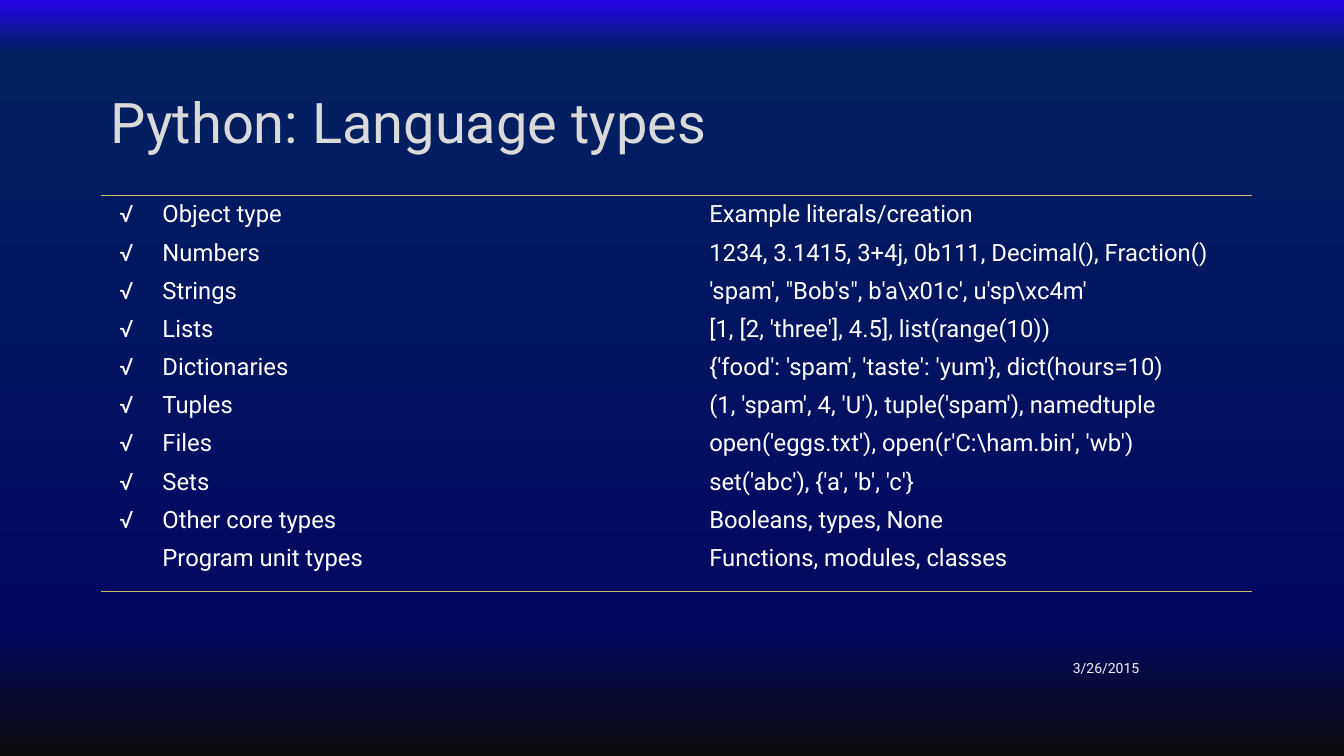
from lxml.etree import SubElement
from pptx import Presentation
from pptx.dml.color import RGBColor
from pptx.enum.text import MSO_ANCHOR, PP_ALIGN
from pptx.oxml import parse_xml
from pptx.oxml.ns import nsdecls, qn
from pptx.util import Cm, Pt

TITLE = "Python: Language types"
DATE = "3/26/2015"
ROWS = [
    ("√", "Object type", "Example literals/creation"),
    ("√", "Numbers", "1234, 3.1415, 3+4j, 0b111, Decimal(), Fraction()"),
    ("√", "Strings", "'spam', \"Bob's\", b'a\\x01c', u'sp\\xc4m'"),
    ("√", "Lists", "[1, [2, 'three'], 4.5], list(range(10))"),
    ("√", "Dictionaries", "{'food': 'spam', 'taste': 'yum'}, dict(hours=10)"),
    ("√", "Tuples", "(1, 'spam', 4, 'U'), tuple('spam'), namedtuple"),
    ("√", "Files", "open('eggs.txt'), open(r'C:\\ham.bin', 'wb')"),
    ("√", "Sets", "set('abc'), {'a', 'b', 'c'}"),
    ("√", "Other core types", "Booleans, types, None"),
    ("", "Program unit types", "Functions, modules, classes"),
]
COL_WIDTHS = (1.3, 13.78, 13.92)
ROW_HEIGHT, LAST_ROW_HEIGHT = 0.92, 1.32

FONT = "Roboto"
WHITE = RGBColor(0xFF, 0xFF, 0xFF)
TITLE_GREY = RGBColor(0xDA, 0xDA, 0xDA)
DATE_GREY = RGBColor(0xF2, 0xF2, 0xF2)
OUTLINE = RGBColor(0x40, 0x40, 0x40)
RULE = RGBColor(0xD3, 0xBA, 0x68)
BACKGROUND = [
    (0, RGBColor(0x24, 0x03, 0xE7)),
    (7, RGBColor(0x00, 0x20, 0x60)),
    (83, RGBColor(0x04, 0x08, 0x60)),
    (100, RGBColor(0x0D, 0x0D, 0x0D)),
]
NO_GRID_STYLE = "{2D5ABB26-0587-4C30-8999-92F81FD0307C}"


def write(tf, text, size=17, color=WHITE, align=PP_ALIGN.LEFT, anchor=MSO_ANCHOR.TOP):
    """Put one formatted run in a text frame and return it."""
    tf.word_wrap = True
    tf.vertical_anchor = anchor
    p = tf.paragraphs[0]
    p.alignment = align
    r = p.add_run()
    r.text = text
    r.font.size = Pt(size)
    r.font.name = FONT
    r.font.color.rgb = color
    return r


def paint_background(slide):
    """Fill the slide with the vertical gradient."""
    fill = slide.background.fill
    fill.gradient()
    fill.gradient_angle = 270
    stops = slide.element.find(".//" + qn("a:gsLst"))
    for stop in list(stops):
        stops.remove(stop)
    for position, color in BACKGROUND:
        stop = SubElement(stops, qn("a:gs"), pos=str(position * 1000))
        SubElement(stop, qn("a:srgbClr"), val=str(color))


def add_title(slide):
    """Format the title with a faint outline and a soft shadow."""
    sp = slide.shapes.title
    sp.left, sp.top, sp.width, sp.height = Cm(2.54), Cm(1.7), Cm(28.75), Cm(2.69)
    r = write(sp.text_frame, TITLE, size=40, color=TITLE_GREY, anchor=MSO_ANCHOR.MIDDLE)
    rpr = r.font.fill and r._r.get_or_add_rPr()
    rpr.insert(0, parse_xml(
        f'<a:ln {nsdecls("a")} w="9525"><a:solidFill><a:srgbClr val="{OUTLINE}">'
        '<a:alpha val="10000"/></a:srgbClr></a:solidFill></a:ln>'))
    rpr.find(qn("a:solidFill")).addnext(parse_xml(
        f'<a:effectLst {nsdecls("a")}><a:outerShdw blurRad="38100" dist="25400" dir="2700000">'
        '<a:srgbClr val="000000"><a:alpha val="50000"/></a:srgbClr></a:outerShdw></a:effectLst>'))


def add_rule(cell, side):
    """Draw a thin line on one side of a cell."""
    cell._tc.get_or_add_tcPr().insert(0, parse_xml(
        f'<a:{side} {nsdecls("a")} w="12700"><a:solidFill><a:srgbClr val="{RULE}"/>'
        f'</a:solidFill></a:{side}>'))


def add_types_table(slide):
    """Build the table of types, ruled above and below."""
    last = len(ROWS) - 1
    height = last * ROW_HEIGHT + LAST_ROW_HEIGHT
    frame = slide.shapes.add_table(len(ROWS), len(COL_WIDTHS), Cm(2.54), Cm(4.93),
                                   Cm(sum(COL_WIDTHS)), Cm(height))
    table = frame.table
    table.first_row = table.horz_banding = False
    frame.element.find(".//" + qn("a:tableStyleId")).text = NO_GRID_STYLE
    for column, width in zip(table.columns, COL_WIDTHS):
        column.width = Cm(width)
    for i, row in enumerate(ROWS):
        table.rows[i].height = Cm(LAST_ROW_HEIGHT if i == last else ROW_HEIGHT)
        for j, text in enumerate(row):
            cell = table.cell(i, j)
            cell.fill.background()
            if text:
                write(cell.text_frame, text, align=PP_ALIGN.LEFT if j else PP_ALIGN.CENTER)
            if i == 0:
                cell.vertical_anchor = MSO_ANCHOR.BOTTOM
                add_rule(cell, "lnT")
            elif i == last:
                add_rule(cell, "lnB")


def main():
    """Build and save the slide."""
    prs = Presentation()
    prs.slide_width, prs.slide_height = Cm(33.87), Cm(19.05)
    slide = prs.slides.add_slide(prs.slide_layouts[5])
    paint_background(slide)
    add_title(slide)
    add_types_table(slide)
    date = slide.shapes.add_textbox(Cm(21.34), Cm(16.33), Cm(7.62), Cm(1.02))
    write(date.text_frame, DATE, size=10, color=DATE_GREY,
          align=PP_ALIGN.RIGHT, anchor=MSO_ANCHOR.MIDDLE)
    prs.save("out.pptx")


if __name__ == "__main__":
    main()
